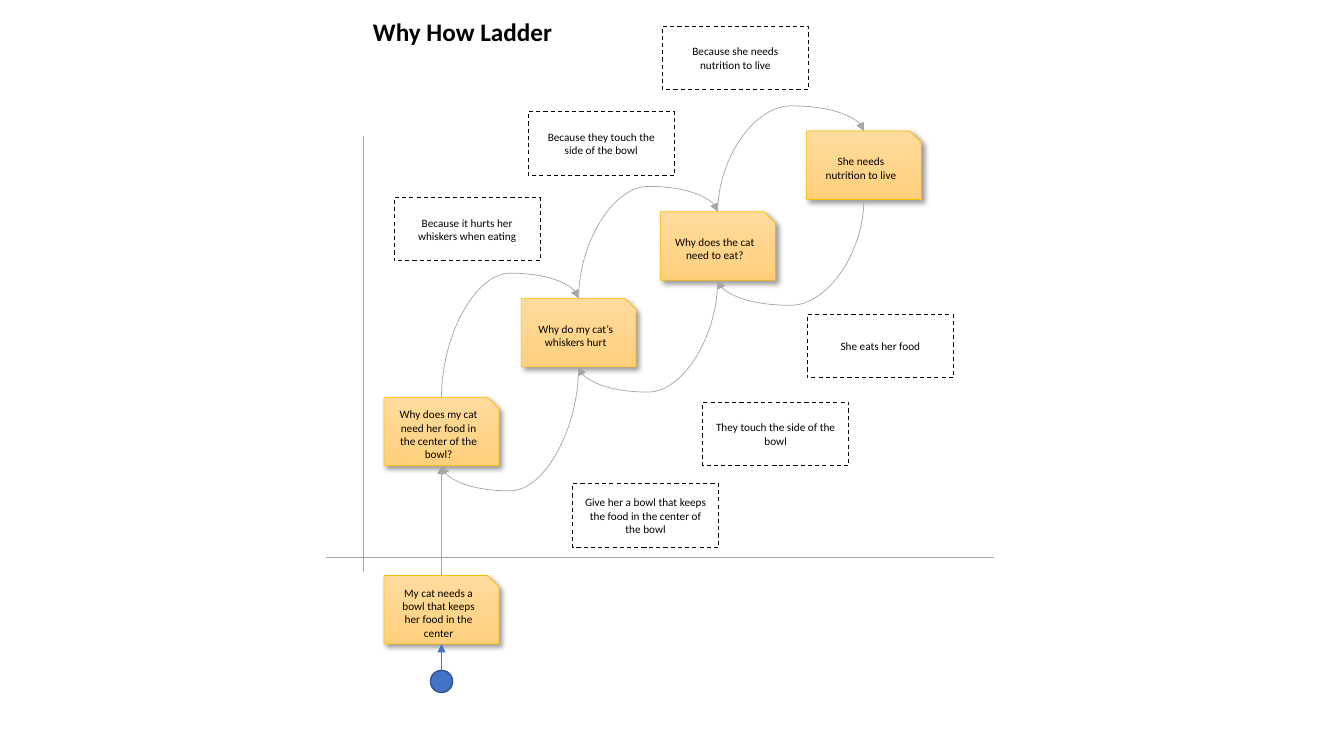
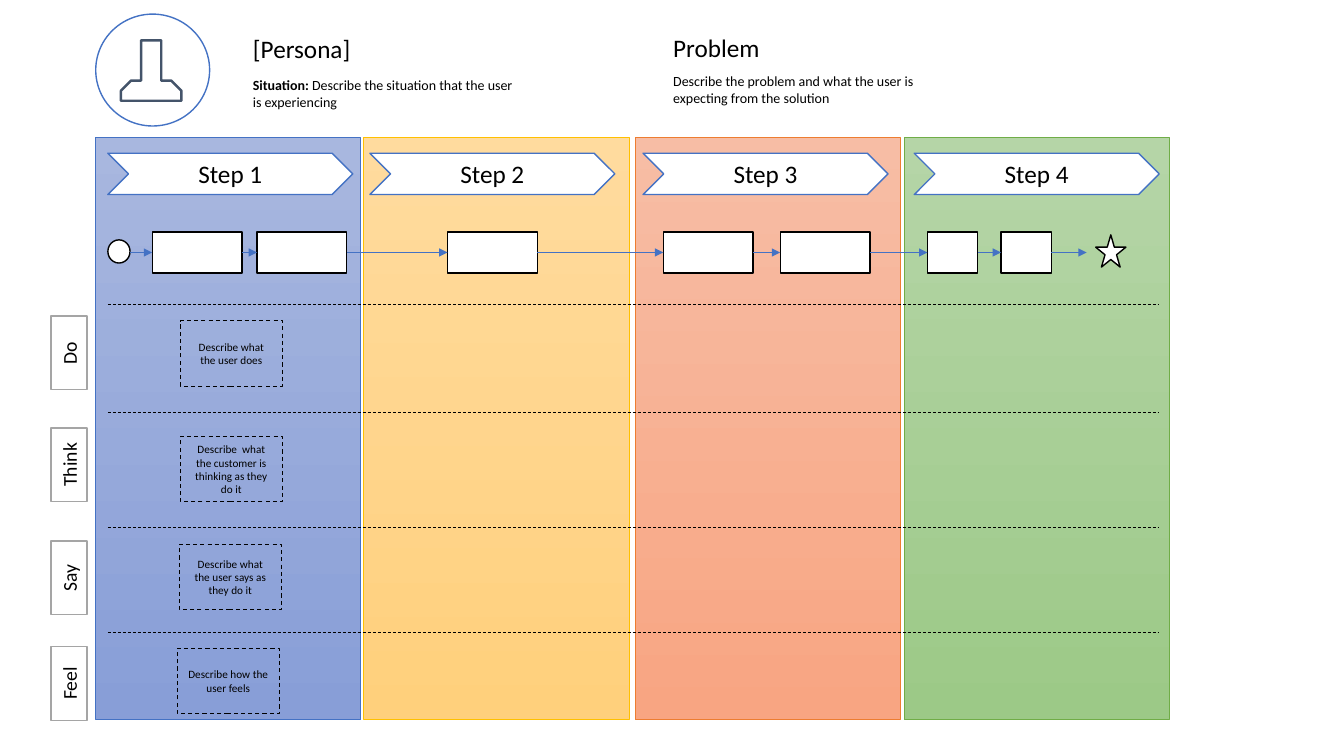
from typing import NamedTuple

from lxml import etree
from pptx import Presentation
from pptx.dml.color import RGBColor
from pptx.enum.dml import MSO_LINE
from pptx.enum.shapes import MSO_CONNECTOR, MSO_SHAPE
from pptx.enum.text import MSO_ANCHOR, MSO_AUTO_SIZE, PP_ALIGN
from pptx.oxml.ns import qn
from pptx.util import Inches, Pt

RECT, OVAL = MSO_SHAPE.RECTANGLE, MSO_SHAPE.OVAL
SNIP, CHEVRON = MSO_SHAPE.SNIP_1_RECTANGLE, MSO_SHAPE.CHEVRON
STAR = MSO_SHAPE.STAR_5_POINT
STRAIGHT, CURVE = MSO_CONNECTOR.STRAIGHT, MSO_CONNECTOR.CURVE
DASH = MSO_LINE.DASH
TOP, MIDDLE = MSO_ANCHOR.TOP, MSO_ANCHOR.MIDDLE
LEFT, CENTER = PP_ALIGN.LEFT, PP_ALIGN.CENTER
FIXED = MSO_AUTO_SIZE.NONE

BLACK = RGBColor(0x00, 0x00, 0x00)
WHITE = RGBColor(0xFF, 0xFF, 0xFF)
GREY = RGBColor(0xA5, 0xA5, 0xA5)
SLATE = RGBColor(0x44, 0x54, 0x6A)
BLUE = RGBColor(0x44, 0x72, 0xC4)
NAVY = RGBColor(0x32, 0x54, 0x91)
GOLD = RGBColor(0xFF, 0xC0, 0x00)
ORANGE = RGBColor(0xED, 0x7D, 0x31)
GREEN = RGBColor(0x70, 0xAD, 0x47)
SKY = (RGBColor(0xA8, 0xB7, 0xDF), RGBColor(0x88, 0x9E, 0xD7))
SAND = (RGBColor(0xFF, 0xDB, 0x9E), RGBColor(0xFF, 0xD0, 0x7C))
CORAL = (RGBColor(0xF7, 0xBD, 0xA5), RGBColor(0xF8, 0xA5, 0x82))
LEAF = (RGBColor(0xB5, 0xD5, 0xA7), RGBColor(0x9C, 0xC9, 0x87))

FONT = "Calibri"
CELL = 0.1
COLS, ROWS = 133.33, 75
CARD_W, CARD_H = 11.4, 6.8
BULGE = 2.5


class Box(NamedTuple):
    """A region measured in grid cells."""
    x: float
    y: float
    w: float
    h: float

    def sub(self, dx, dy, w, h):
        """Return a box offset from this one's corner."""
        return Box(self.x + dx, self.y + dy, w, h)

    def edge(self, across, down):
        """Return the point at the given shares of the box."""
        return self.x + across * self.w, self.y + down * self.h


def cells(values):
    """Convert grid cells to slide lengths."""
    return [Inches(v * CELL) for v in values]


def write(frame, text, size, align=LEFT, anchor=TOP, bold=False, lead=""):
    """Fill a text frame, with an optional bold lead."""
    frame.word_wrap = True
    frame.auto_size = FIXED
    frame.vertical_anchor = anchor
    frame.text = lead or text
    para = frame.paragraphs[0]
    para.alignment = align
    if lead:
        para.add_run().text = text
    for i, run in enumerate(para.runs):
        run.font.name = FONT
        run.font.size = Pt(size)
        run.font.color.rgb = BLACK
        run.font.bold = bold or (bool(lead) and i == 0)


def label(slide, box, text, size, lead=""):
    """Add a plain text box."""
    write(slide.shapes.add_textbox(*cells(box)).text_frame, text, size, lead=lead)


def head(slide, box, text, bold=False):
    """Place and style the slide title."""
    title = slide.shapes.title
    title.left, title.top, title.width, title.height = cells(box)
    write(title.text_frame, text, 18, bold=bold)


def shape(slide, kind, box, line, fill=None, width=1, text="", size=8):
    """Add a flat preset shape with a solid, graded or empty fill."""
    item = slide.shapes.add_shape(kind, *cells(box))
    item.shadow.inherit = False
    if fill is None:
        item.fill.background()
    elif isinstance(fill, RGBColor):
        item.fill.solid()
        item.fill.fore_color.rgb = fill
    else:
        item.fill.gradient()
        item.fill.gradient_angle = 270
        for stop, tone, place in zip(item.fill.gradient_stops, fill, (0, 1)):
            stop.color.rgb = tone
            stop.position = place
    item.line.color.rgb = line
    item.line.width = Pt(width)
    if text:
        write(item.text_frame, text, size, CENTER, MIDDLE)
    return item


def note(slide, box, text):
    """Add a dashed note."""
    shape(slide, RECT, box, BLACK, width=0.75, text=text).line.dash_style = DASH


def card(slide, box, text):
    """Add a snipped card with a soft shadow."""
    item = shape(slide, SNIP, box, GOLD, SAND, 0.5, text)
    effect = item.element.spPr.find(qn("a:effectLst"))
    shade = etree.SubElement(effect, qn("a:outerShdw"), blurRad="50800",
                             dist="38100", dir="2700000", algn="tl", rotWithShape="0")
    tone = etree.SubElement(shade, qn("a:srgbClr"), val="000000")
    etree.SubElement(tone, qn("a:alpha"), val="40000")


def join(slide, start, end, color, arrow=True, kind=STRAIGHT):
    """Draw a thin connector between two points."""
    item = slide.shapes.add_connector(kind, *cells((*start, *end)))
    item.line.color.rgb = color
    item.line.width = Pt(0.5)
    props = item.element.spPr
    if arrow:
        etree.SubElement(props.find(qn("a:ln")), qn("a:tailEnd"), type="triangle")
    etree.SubElement(props, qn("a:effectLst"))
    return item


def arc(slide, start, end):
    """Draw a quarter-turned curve that bulges past its end."""
    mid_x, mid_y = (start[0] + end[0]) / 2, (start[1] + end[1]) / 2
    off_x, off_y = start[1] - mid_y, mid_x - start[0]
    item = join(slide, (mid_x + off_x, mid_y + off_y),
                (mid_x - off_x, mid_y - off_y), GREY, kind=CURVE)
    props = item.element.spPr
    props.find(qn("a:xfrm")).set("rot", "5400000")
    geom = props.find(qn("a:prstGeom"))
    bend = round(100000 * (1 + BULGE / abs(start[1] - end[1])))
    etree.SubElement(geom.find(qn("a:avLst")), qn("a:gd"), name="adj1", fmla=f"val {bend}")


def axes(slide, box):
    """Draw the two crossing axes."""
    level, post = box.y + box.h - 1.4, box.x + 3.7
    join(slide, (box.x, level), (box.x + box.w, level), GREY, False)
    join(slide, (post, box.y + box.h), (post, box.y), GREY, False)


def ladder(slide, box):
    """Build the rungs, their curves and the notes; return the first rung."""
    rungs = [
        (2.1, 36.8, "Why does my cat need her food in the center of the bowl?"),
        (15.7, 27, "Why do my cat’s whiskers hurt"),
        (29.5, 18.4, "Why does the cat need to eat?"),
        (44, 10.4, "She needs nutrition to live"),
    ]
    whys = ["Because it hurts her whiskers when eating",
            "Because they touch the side of the bowl",
            "Because she needs nutrition to live"]
    hows = [
        (44.1, 28.6, "She eats her food"),
        (33.7, 37.3, "They touch the side of the bowl"),
        (20.8, 45.4, "Give her a bowl that keeps the food in the center of the bowl"),
    ]
    spots = [box.sub(x, y, CARD_W, CARD_H) for x, y, _ in rungs]
    for spot, (_, _, text) in zip(spots, rungs):
        card(slide, spot, text)
    for low, high in zip(spots, spots[1:]):
        arc(slide, low.edge(0.5, 0), high.edge(0.5, 0))
        arc(slide, high.edge(0.5, 1), low.edge(0.5, 1))
    steps = [(3.1 + 13.3 * i, 17 - 8.5 * i, text) for i, text in enumerate(whys)]
    for x, y, text in steps + hows:
        note(slide, box.sub(x, y, 14.5, 6.3), text)
    return spots[0]


def origin(slide, box, rung):
    """Place the starting need and link it to the first rung."""
    need = box.sub(0, 0, CARD_W, CARD_H)
    dot = box.sub(4.6, 9.4, 2.2, 2.2)
    shape(slide, OVAL, dot, NAVY, BLUE)
    card(slide, need, "My cat needs a bowl that keeps her food in the center")
    join(slide, need.edge(0.5, 0), rung.edge(0.5, 1), GREY)
    join(slide, dot.edge(0.5, 0), need.edge(0.5, 1), BLUE)


def lanes(slide, box):
    """Draw the step columns with their chevrons."""
    steps = [(0, 1.2, BLUE, SKY), (26.6, 0.6, GOLD, SAND),
             (53.5, 0.8, ORANGE, CORAL), (80.2, 1, GREEN, LEAF)]
    for i, (x, inset, line, fill) in enumerate(steps, 1):
        lane = box.sub(x, 0, 26.3, box.h)
        shape(slide, RECT, lane, line, fill, 0.5)
        shape(slide, CHEVRON, lane.sub(inset, 1.6, 24.3, 4.1), BLUE, WHITE,
              text=f"Step {i}", size=18)


def flow(slide, box):
    """Lay out the journey from the start circle to the star."""
    tasks = [(4.4, 8.9), (14.8, 8.9), (33.7, 8.9), (55.1, 8.9), (66.7, 8.9),
             (81.3, 5), (88.6, 5)]
    parts = [(OVAL, box.sub(0, 0.8, 2.2, 2.3))]
    parts += [(RECT, box.sub(x, 0, w, box.h)) for x, w in tasks]
    parts.append((STAR, box.sub(98, 0.3, 3, 3.2)))
    for kind, spot in parts:
        shape(slide, kind, spot, BLACK, WHITE)
    level = box.y + box.h / 2
    for (_, here), (kind, there) in zip(parts, parts[1:]):
        gap = 0.9 if kind == STAR else 0
        join(slide, (here.x + here.w, level), (there.x - gap, level), BLUE)


def rows(slide, box):
    """Add each row's rule, turned tab and note."""
    views = [
        ("Do", 0, 3, 7.2, 1.6, "Describe what the user does"),
        ("Think", 10.7, 14.1, 7.2, 13.1,
         "Describe  what the customer is thinking as they do it"),
        ("Say", 22.1, 25.3, 7.1, 23.8, "Describe what the user says as they do it"),
        ("Feel", 32.5, 35.8, 6.9, 34.1, "Describe how the user feels"),
    ]
    for name, rule, tab, left, top, text in views:
        level = box.y + rule
        join(slide, (box.x, level), (box.x + box.w, level), BLACK,
             False).line.dash_style = DASH
        shape(slide, RECT, box.sub(-7.5, tab, 7.3, 3.6), GREY, WHITE,
              text=name, size=14).rotation = 270
        note(slide, box.sub(left, top, 10.1, 6.5), text)


def badge(slide, box):
    """Draw the persona circle and bust outline."""
    shape(slide, OVAL, box, BLUE, WHITE)
    half = [(0.8, 2.8), (1.3, 3.2), (1.3, 3.6), (1, 4.2), (1.2, 4.6), (1, 5.1),
            (0.65, 5.6), (0.65, 6.4), (1.5, 6.7), (2.3, 7.1), (2.7, 7.5), (2.9, 8.4)]
    axis = box.x + box.w / 2
    ring = [(axis + x, box.y + y) for x, y in half]
    ring += [(axis - x, box.y + y) for x, y in reversed(half)]
    pen = slide.shapes.build_freeform(axis, box.y + 2.7, scale=Inches(CELL))
    pen.add_line_segments(ring, close=True)
    bust = pen.convert_to_shape()
    bust.shadow.inherit = False
    bust.fill.background()
    bust.line.color.rgb = SLATE
    bust.line.width = Pt(1.75)


def brief(slide, box):
    """Write the persona and problem summary."""
    head(slide, box.sub(0, 0.1, 23.6, 4), "[Persona]")
    label(slide, box.sub(0, 4.4, 28.2, 4.4),
          "Describe the situation that the user is experiencing", 10, "Situation: ")
    label(slide, box.sub(41.7, 0, 23.6, 4), "Problem", 18)
    label(slide, box.sub(41.7, 4, 28.2, 4.4),
          "Describe the problem and what the user is expecting from the solution", 10)


def why_how(slide):
    """Compose the ladder slide."""
    axes(slide, Box(32.3, 13.5, 66.3, 43.2))
    head(slide, Box(36, 1.1, 36.7, 4.1), "Why How Ladder", True)
    rung = ladder(slide, Box(36, 2.6, 60, 52))
    origin(slide, Box(38.1, 57.1, CARD_W, 11.6), rung)


def journey(slide):
    """Compose the journey map slide."""
    lanes(slide, Box(9.5, 13.6, 106.5, 57.8))
    badge(slide, Box(9.5, 1.4, 11.3, 11.1))
    brief(slide, Box(24.1, 2.7, 69.9, 8.8))
    rows(slide, Box(10.7, 30.2, 104.3, 41))
    flow(slide, Box(10.7, 23, 101, 4.1))


def main():
    """Build and save the deck."""
    deck = Presentation()
    deck.slide_width, deck.slide_height = cells((COLS, ROWS))
    for build in (why_how, journey):
        build(deck.slides.add_slide(deck.slide_layouts[5]))
    deck.save("out.pptx")


main()
